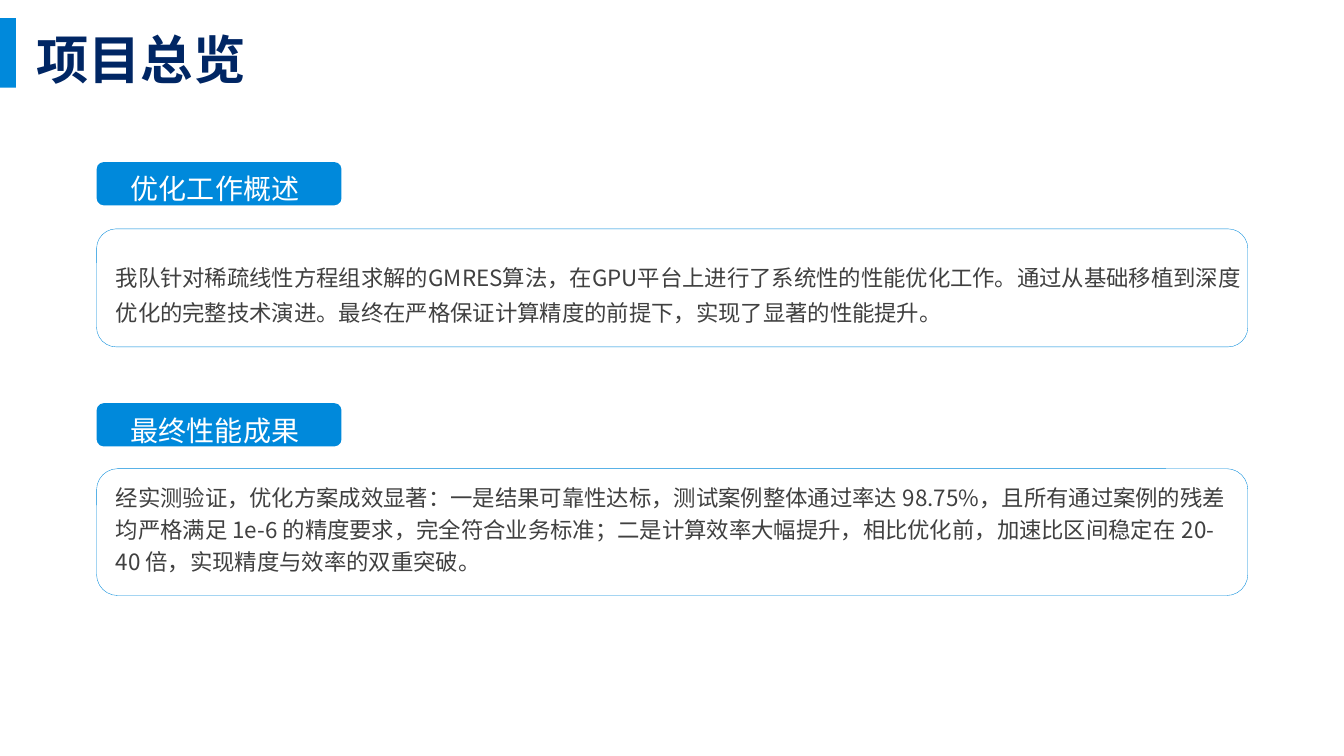
from dataclasses import dataclass

from lxml.etree import SubElement
from pptx import Presentation
from pptx.dml.color import RGBColor
from pptx.enum.shapes import MSO_SHAPE
from pptx.enum.text import MSO_ANCHOR, PP_ALIGN
from pptx.oxml.ns import qn
from pptx.shapes.autoshape import Shape
from pptx.slide import Slide
from pptx.text.text import TextFrame
from pptx.util import Inches, Pt

COLUMN = Inches(13.33) / 32
ROW = Inches(7.5) / 18


@dataclass(frozen=True)
class TextStyle:
    """Font, size, line height and colour of one kind of text."""
    font: str
    size: float
    leading: float
    color: RGBColor
    bold: bool = False


@dataclass(frozen=True)
class Theme:
    """Colours and text styles of the slide."""
    accent: RGBColor = RGBColor(0x00, 0x89, 0xDB)
    east_asian: str = "Noto Sans CJK SC"
    outline: float = 0.25
    title: TextStyle = TextStyle("Noto Sans CJK SC", 37.4, 50, RGBColor(0x00, 0x26, 0x64), True)
    label: TextStyle = TextStyle("Calibri", 20, 31, RGBColor(0xFF, 0xFF, 0xFF))
    overview: TextStyle = TextStyle("Noto Sans CJK SC", 16, 25, RGBColor(0x40, 0x40, 0x40))
    results: TextStyle = TextStyle("Noto Sans CJK SC", 16, 23, RGBColor(0x40, 0x40, 0x40))


@dataclass(frozen=True)
class Area:
    """A rectangle in grid columns and rows."""
    column: float
    row: float
    columns: float
    rows: float

    def box(self) -> tuple[int, int, int, int]:
        """Return left, top, width and height as slide lengths."""
        return (round(self.column * COLUMN), round(self.row * ROW),
                round(self.columns * COLUMN), round(self.rows * ROW))


@dataclass(frozen=True)
class Section:
    """A labelled chip above a framed paragraph."""
    label: str
    body: str
    style: TextStyle
    chip: Area
    label_area: Area
    frame: Area
    body_area: Area


THEME = Theme()
BAR = Area(0, 0.43, 0.38, 1.66)
TITLE = Area(0.62, 0.43, 25.94, 1.75)
SECTIONS = (
    Section(
        "优化工作概述",
        "我队针对稀疏线性方程组求解的GMRES算法，在GPU平台上进行了系统性的性能优化工作。"
        "通过从基础移植到深度优化的完整技术演进。最终在严格保证计算精度的前提下，实现了显著的性能提升。",
        THEME.overview,
        chip=Area(2.3, 3.86, 5.83, 1.03), label_area=Area(2.88, 3.74, 4.9, 1.15),
        frame=Area(2.3, 5.45, 27.41, 2.81), body_area=Area(2.52, 5.98, 27.41, 1.85),
    ),
    Section(
        "最终性能成果",
        "经实测验证，优化方案成效显著：一是结果可靠性达标，测试案例整体通过率达 98.75%，"
        "且所有通过案例的残差均严格满足 1e-6 的精度要求，完全符合业务标准；"
        "二是计算效率大幅提升，相比优化前，加速比区间稳定在 20-40 倍，实现精度与效率的双重突破。",
        THEME.results,
        chip=Area(2.3, 9.6, 5.83, 1.03), label_area=Area(2.88, 9.5, 4.61, 1.15),
        frame=Area(2.3, 11.16, 27.41, 3.02), body_area=Area(2.52, 11.28, 26.95, 2.9),
    ),
)


def write(text_frame: TextFrame, text: str, style: TextStyle) -> None:
    """Write one styled run into the first paragraph."""
    text_frame.word_wrap = True
    paragraph = text_frame.paragraphs[0]
    paragraph.alignment = PP_ALIGN.LEFT
    paragraph.line_spacing = Pt(style.leading)
    run = paragraph.add_run()
    run.text = text
    run.font.name = style.font
    run.font.size = Pt(style.size)
    run.font.bold = style.bold
    run.font.color.rgb = style.color
    SubElement(run.font._element, qn("a:ea"), typeface=THEME.east_asian)


def add_panel(slide: Slide, kind: MSO_SHAPE, area: Area, filled: bool) -> Shape:
    """Add a filled block or an outlined frame."""
    panel = slide.shapes.add_shape(kind, *area.box())
    panel.shadow.inherit = False
    if filled:
        panel.fill.solid()
        panel.fill.fore_color.rgb = THEME.accent
        panel.line.fill.background()
    else:
        panel.fill.background()
        panel.line.color.rgb = THEME.accent
        panel.line.width = Pt(THEME.outline)
    return panel


def add_title(slide: Slide, text: str) -> None:
    """Place and fill the title placeholder."""
    title = slide.shapes.title
    title.left, title.top, title.width, title.height = TITLE.box()
    title.text_frame.vertical_anchor = MSO_ANCHOR.MIDDLE
    title.text_frame.margin_top = title.text_frame.margin_bottom = 0
    write(title.text_frame, text, THEME.title)


def add_section(slide: Slide, section: Section) -> None:
    """Draw a chip, its label, the paragraph and the frame."""
    add_panel(slide, MSO_SHAPE.ROUNDED_RECTANGLE, section.chip, True)
    for text, style, area in (
        (section.label, THEME.label, section.label_area),
        (section.body, section.style, section.body_area),
    ):
        write(slide.shapes.add_textbox(*area.box()).text_frame, text, style)
    add_panel(slide, MSO_SHAPE.ROUNDED_RECTANGLE, section.frame, False)


def main() -> None:
    """Build and save the project overview slide."""
    presentation = Presentation()
    presentation.slide_width = Inches(13.33)
    presentation.slide_height = Inches(7.5)
    slide = presentation.slides.add_slide(presentation.slide_layouts.get_by_name("Title Only"))
    add_panel(slide, MSO_SHAPE.RECTANGLE, BAR, True)
    add_title(slide, "项目总览")
    for section in SECTIONS:
        add_section(slide, section)
    presentation.save("out.pptx")


if __name__ == "__main__":
    main()
